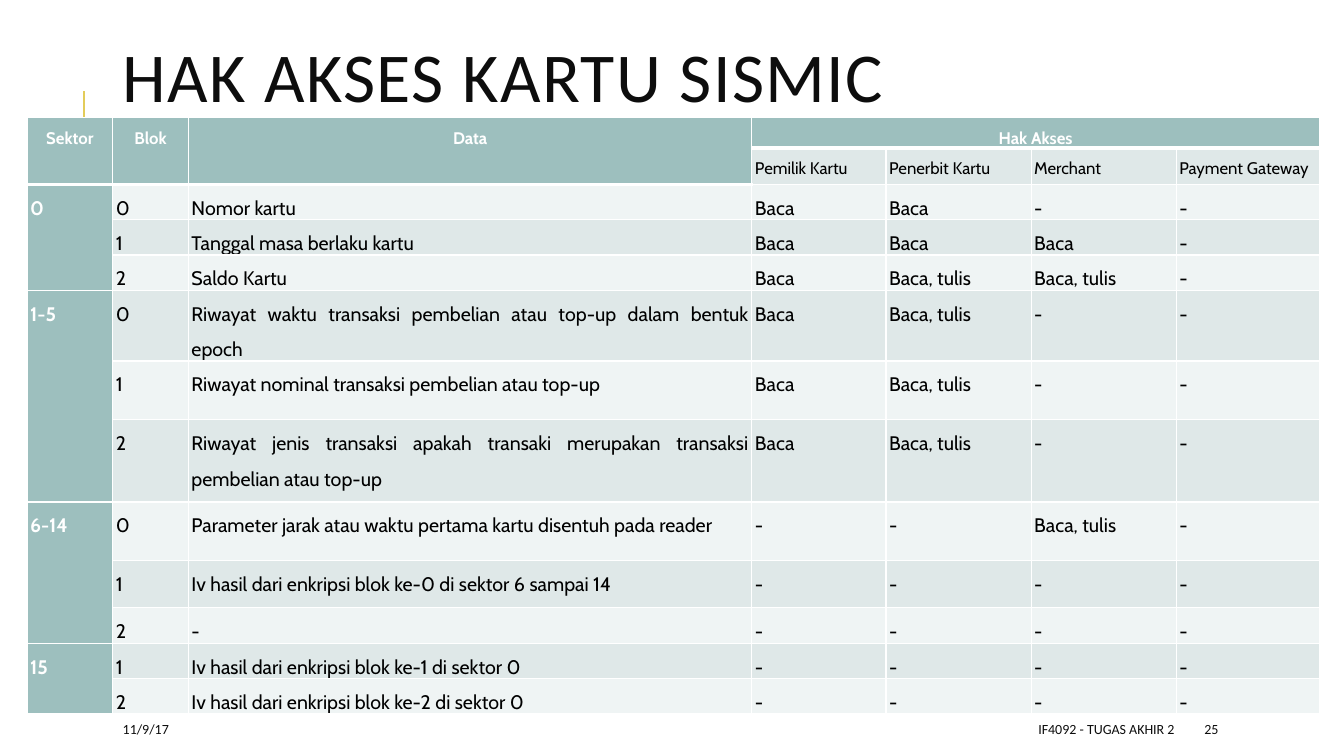
from lxml import etree
from pptx import Presentation
from pptx.dml.color import RGBColor
from pptx.enum.shapes import MSO_CONNECTOR
from pptx.enum.text import MSO_ANCHOR, PP_ALIGN
from pptx.oxml.ns import qn
from pptx.util import Pt

LEFT, CENTER, RIGHT, JUSTIFY = PP_ALIGN.LEFT, PP_ALIGN.CENTER, PP_ALIGN.RIGHT, PP_ALIGN.JUSTIFY
TOP, MIDDLE = MSO_ANCHOR.TOP, MSO_ANCHOR.MIDDLE
STRAIGHT = MSO_CONNECTOR.STRAIGHT

COLUMN_WIDTHS = [61.2, 54, 402.5, 95.8, 103.7, 103.7, 102.2]
ROW_HEIGHTS = [8.6, 25.9, 25.2, 16.6, 16.6, 41.8, 41.8, 59, 41.8, 33.8, 8.6, 25.2, 25.2]
TABLE_HEIGHT = 406.1
READ, WRITE, NONE = "Baca", "Baca, tulis", "-"
HEADINGS = ["Sektor", "Blok", "Data", "Hak Akses"]
ROLES = ["Pemilik Kartu", "Penerbit Kartu", "Merchant", "Payment Gateway"]
SECTORS = [
    ("0", [
        ("0", "Nomor kartu", READ, READ, NONE, NONE),
        ("1", "Tanggal masa berlaku kartu", READ, READ, READ, NONE),
        ("2", "Saldo Kartu", READ, WRITE, WRITE, NONE),
    ]),
    ("1-5", [
        ("0", "Riwayat waktu transaksi pembelian atau top-up dalam bentuk epoch",
         READ, WRITE, NONE, NONE),
        ("1", "Riwayat nominal transaksi pembelian atau top-up", READ, WRITE, NONE, NONE),
        ("2", "Riwayat jenis transaksi apakah transaki merupakan transaksi pembelian atau top-up",
         READ, WRITE, NONE, NONE),
    ]),
    ("6-14", [
        ("0", "Parameter jarak atau waktu pertama kartu disentuh pada reader",
         NONE, NONE, WRITE, NONE),
        ("1", "Iv hasil dari enkripsi blok ke-0 di sektor 6 sampai 14", NONE, NONE, NONE, NONE),
        ("2", NONE, NONE, NONE, NONE, NONE),
    ]),
    ("15", [
        ("1", "Iv hasil dari enkripsi blok ke-1 di sektor 0", NONE, NONE, NONE, NONE),
        ("2", "Iv hasil dari enkripsi blok ke-2 di sektor 0", NONE, NONE, NONE, NONE),
    ]),
]


def color(value):
    return RGBColor.from_string(value)


def write(frame, text, size=10, font="Calibri", ink="0D0D0D", bold=False,
          align=LEFT, anchor=MIDDLE, line_spacing=None, gap=None, tracking=None):
    frame.word_wrap = True
    frame.vertical_anchor = anchor
    paragraph = frame.paragraphs[0]
    paragraph.alignment = align
    if line_spacing:
        paragraph.line_spacing = line_spacing
    if gap is not None:
        paragraph.space_before = paragraph.space_after = Pt(gap)
    run = paragraph.add_run()
    run.text = text
    run.font.size = Pt(size)
    run.font.name = font
    run.font.bold = bold
    run.font.color.rgb = color(ink)
    if tracking:
        run.font._element.set("spc", str(tracking * 100))


class AccessSlide:
    """Holds the style and the current slide of the card access table."""

    accent, white, black = "9DBFBE", "FFFFFF", "000000"
    bands = ["EFF4F4", "DFE8E8"]
    gold = "E3CC5A"

    def __init__(self, presentation):
        self.slide = presentation.slides.add_slide(presentation.slide_layouts[6])

    def text(self, text, left, top, width, height, **style):
        box = self.slide.shapes.add_textbox(Pt(left), Pt(top), Pt(width), Pt(height))
        write(box.text_frame, text, **style)

    def line(self, x, start, end):
        connector = self.slide.shapes.add_connector(STRAIGHT, Pt(x), Pt(start), Pt(x), Pt(end))
        connector.line.color.rgb = color(self.gold)
        connector.line.width = Pt(1.5)
        etree.SubElement(connector._element.spPr, qn("a:effectLst"))

    def borders(self, cell, bottom):
        properties = cell._tc.get_or_add_tcPr()
        widths = {"a:lnL": 1, "a:lnR": 1, "a:lnT": 1, "a:lnB": bottom}
        for position, (side, width) in enumerate(widths.items()):
            border = etree.Element(qn(side), w=str(Pt(width)))
            fill = etree.SubElement(border, qn("a:solidFill"))
            etree.SubElement(fill, qn("a:srgbClr"), val=self.white)
            properties.insert(position, border)

    def table(self, left, top):
        frame = self.slide.shapes.add_table(
            len(ROW_HEIGHTS), len(COLUMN_WIDTHS), Pt(left), Pt(top),
            Pt(sum(COLUMN_WIDTHS)), Pt(TABLE_HEIGHT))
        table = frame.table
        table.first_row = table.horz_banding = False
        for column, width in zip(table.columns, COLUMN_WIDTHS):
            column.width = Pt(width)
        for row, height in zip(table.rows, ROW_HEIGHTS):
            row.height = Pt(height)
        frame.height = Pt(TABLE_HEIGHT)
        for row in range(len(ROW_HEIGHTS)):
            for column in range(len(COLUMN_WIDTHS)):
                self.cell(table.cell(row, column), row, column)
        self.fill_headings(table)
        self.fill_sectors(table)

    def cell(self, cell, row, column):
        heading = row == 0 or (row == 1 and column < 3)
        cell.fill.solid()
        cell.fill.fore_color.rgb = color(
            self.accent if heading or column == 0 else self.bands[row % 2])
        cell.margin_left = cell.margin_right = Pt(2.2)
        cell.margin_top = cell.margin_bottom = 0
        self.borders(cell, 3 if heading else 1)

    def entry(self, cell, text, size=14, label=False, align=JUSTIFY):
        cell.vertical_anchor = TOP
        write(cell.text_frame, text, size=size, font="Cabin", bold=label, align=align,
              ink=self.white if label else self.black, anchor=None, line_spacing=1.5, gap=6)

    def fill_headings(self, table):
        for column, heading in enumerate(HEADINGS):
            last = table.cell(1, column) if column < 3 else table.cell(0, 6)
            table.cell(0, column).merge(last)
            self.entry(table.cell(0, column), heading, 12, True, CENTER)
        for column, role in enumerate(ROLES, 3):
            self.entry(table.cell(1, column), role, 12)

    def fill_sectors(self, table):
        row = 2
        for sector, blocks in SECTORS:
            table.cell(row, 0).merge(table.cell(row + len(blocks) - 1, 0))
            self.entry(table.cell(row, 0), sector, label=True)
            for block in blocks:
                for column, value in enumerate(block, 1):
                    self.entry(table.cell(row, column), value)
                row += 1


def main():
    presentation = Presentation()
    presentation.slide_width, presentation.slide_height = Pt(960), Pt(540)
    page = AccessSlide(presentation)
    page.line(59.8, 136.8, 64.8)
    page.text("HAK AKSES KARTU SISMIC", 80.6, 0, 765.4, 118.1,
              size=50, line_spacing=0.8, tracking=1)
    page.table(19.4, 84.2)
    footers = [("11/9/17", 80.6, 169.9, LEFT),
               ("IF4092 - TUGAS AKHIR 2", 381.6, 464.4, RIGHT),
               ("25", 853.2, 76.3, LEFT)]
    for text, left, width, align in footers:
        page.text(text, left, 509.8, width, 21.6, align=align)
    presentation.save("out.pptx")


if __name__ == "__main__":
    main()
